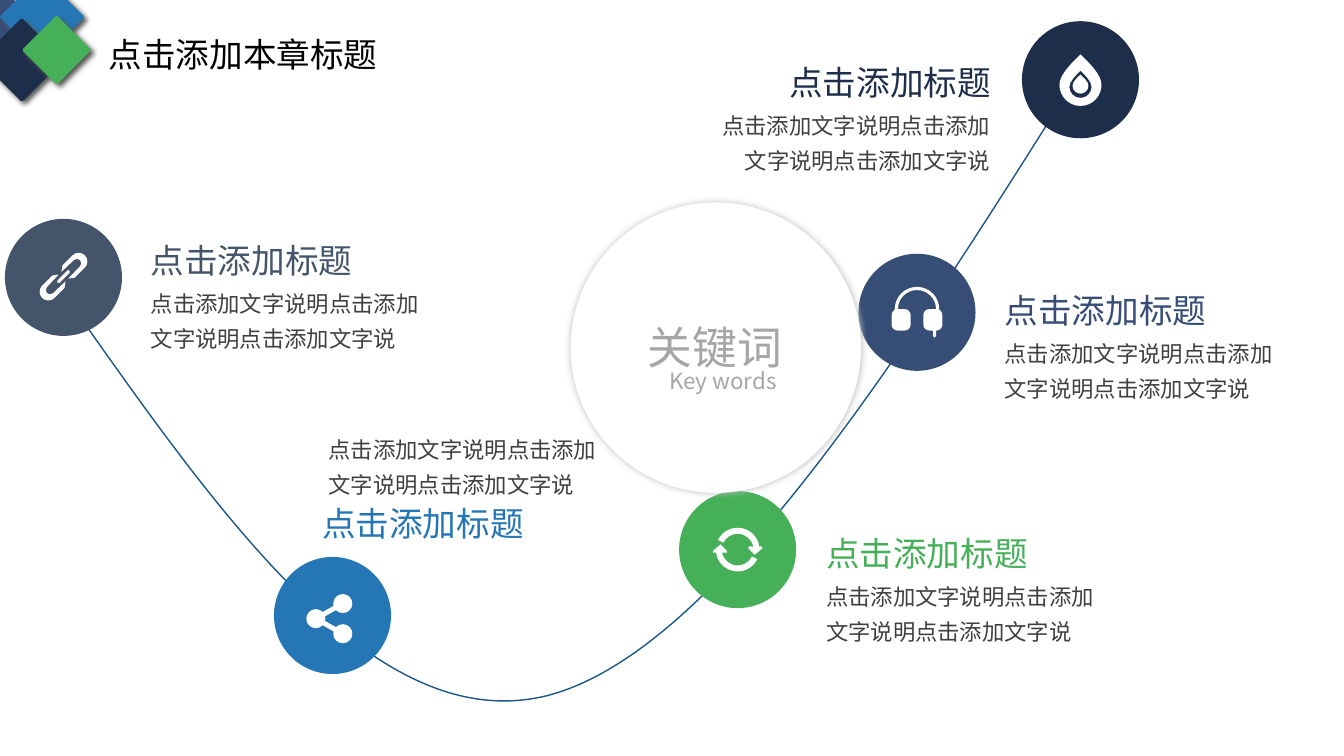
from math import cos, radians, sin, tan

from lxml.etree import Element, SubElement
from pptx import Presentation
from pptx.dml.color import RGBColor
from pptx.enum.shapes import MSO_SHAPE as Preset
from pptx.enum.text import PP_ALIGN as Align
from pptx.oxml.ns import qn
from pptx.util import Cm, Pt

FONT = "Noto Sans CJK SC"
NAVY = RGBColor(0x1D, 0x2E, 0x4B)
INDIGO = RGBColor(0x36, 0x4D, 0x76)
BLUE = RGBColor(0x24, 0x76, 0xB5)
GREEN = RGBColor(0x45, 0xB0, 0x58)
SLATE = RGBColor(0x44, 0x54, 0x6A)
CURVE_BLUE = RGBColor(0x1B, 0x57, 0x86)
WHITE = RGBColor(0xFF, 0xFF, 0xFF)
BLACK = RGBColor(0, 0, 0)
BODY_GRAY = RGBColor(0x40, 0x40, 0x40)
HUB_GRAY = RGBColor(0xA6, 0xA6, 0xA6)
HUB_SHADOW = RGBColor(0xBF, 0xBF, 0xBF)
DIAMOND_SHADOW = RGBColor(0x59, 0x59, 0x59)

NODE_SIZE = 2.95
NODE_TITLE = "点击添加标题"
NODE_BODY = "点击添加文字说明点击添加文字说明点击添加文字说"


def corners(*points):
    return [(point,) for point in points]


def arc(x, y, radius, start, end):
    low, high = sorted((start, end))
    stops = [low] + [a for a in range(-360, 721, 90) if low < a < high] + [high]
    if start > end:
        stops.reverse()

    def point(angle, pull=0):
        a = radians(angle)
        return (x + radius * (cos(a) - pull * sin(a)), y + radius * (sin(a) + pull * cos(a)))

    steps = [(point(start),)]
    for a, b in zip(stops, stops[1:]):
        pull = 4 / 3 * tan(radians(b - a) / 4)
        steps.append((point(a, pull), point(b, -pull), point(b)))
    return steps


def transform(contour, change):
    return [tuple(change(*point) for point in step) for step in contour]


def half_turn(contour):
    return transform(contour, lambda x, y: (-x, -y))


def share_icon():
    return [arc(0.26, -0.3, 0.24, 166, 496) + arc(-0.42, 0.08, 0.24, -14, 14)
            + arc(0.26, 0.46, 0.24, 224, 554) + arc(-0.42, 0.08, 0.24, 44, 316)]


def link_icon():
    loop = (corners((0.05, -0.12), (0.18, -0.22)) + arc(0.54, 0, 0.22, -90, 90)
            + corners((0.18, 0.22), (0.05, 0.12)) + arc(0.48, 0, 0.11, 90, -90))
    bar = arc(0.18, 0, 0.04, -90, 90) + arc(-0.18, 0, 0.04, 90, 270)
    tilt = cos(radians(45))
    return [transform(contour, lambda u, v: ((u + v) * tilt, (v - u) * tilt - 0.02))
            for contour in (bar, loop, half_turn(loop))]


def sync_icon():
    arrow = (arc(0, 0, 0.55, 206, 352)
             + corners((0.61, -0.08), (0.62, -0.03), (0.43, 0.13), (0.27, -0.03), (0.28, -0.08))
             + arc(0, 0, 0.4, 349, 206))
    return [arrow, half_turn(arrow)]


def headphones_icon():
    return [arc(0, -0.08, 0.56, 180, 360)
            + arc(0.49, 0.07, 0.15, -60, 0) + arc(0.49, 0.31, 0.15, 0, 90)
            + corners((0.48, 0.46)) + arc(0.44, 0.6, 0.04, 0, 180) + corners((0.4, 0.46))
            + arc(0.31, 0.31, 0.15, 90, 180) + arc(0.31, 0.07, 0.15, 180, 270)
            + arc(0, -0.08, 0.48, 360, 180)
            + arc(-0.31, 0.07, 0.15, 270, 360) + arc(-0.31, 0.31, 0.15, 0, 90)
            + arc(-0.49, 0.31, 0.15, 90, 180) + arc(-0.49, 0.07, 0.15, 180, 240)]


def drop_icon():
    def drop(tip, y, radius):
        bend, shoulder = 0.4 * radius, y - 0.5 * radius
        right = ((bend, tip + bend), (radius, shoulder), (radius, y))
        left = ((-radius, shoulder), (-bend, tip + bend), (0, tip))
        return corners((0, tip)) + [right] + arc(0, y, radius, 0, 180)[1:] + [left]
    return [drop(-0.64, 0.13, 0.53), drop(-0.23, 0.18, 0.28), drop(-0.13, 0.15, 0.2)]


def bend_steps(shape, steps):
    tags = (qn("a:moveTo"), qn("a:lnTo"))
    drawn = [e for e in shape._element.spPr.iter(*tags)]
    for element, step in zip(drawn, steps):
        if len(step) == 3:
            curve = Element(qn("a:cubicBezTo"))
            for x, y in step:
                SubElement(curve, qn("a:pt"), x=str(x - shape.left), y=str(y - shape.top))
            element.getparent().replace(element, curve)


def add_outline(shapes, contours, x=0, y=0, closed=True):
    placed = [transform(contour, lambda px, py: (Cm(x + px), Cm(y + py)))
              for contour in contours]
    builder = shapes.build_freeform(*placed[0][0][-1], scale=1.0)
    for contour in placed:
        anchors = [step[-1] for step in contour]
        if contour is not placed[0]:
            builder.move_to(*anchors[0])
        builder.add_line_segments(anchors[1:], close=closed)
    shape = builder.convert_to_shape()
    bend_steps(shape, [step for contour in placed for step in contour])
    shape.shadow.inherit = False
    return shape


def paint(shape, color):
    shape.shadow.inherit = False
    shape.fill.solid()
    shape.fill.fore_color.rgb = color
    shape.line.fill.background()


def add_preset(shapes, preset, left, top, size, color):
    shape = shapes.add_shape(preset, Cm(left), Cm(top), Cm(size), Cm(size))
    paint(shape, color)
    return shape


def add_shadow(shape, color, blur, distance=0, angle=0):
    effects = shape._element.spPr.find(qn("a:effectLst"))
    shadow = SubElement(effects, qn("a:outerShdw"), blurRad=str(Pt(blur)),
                        dist=str(Pt(distance)), dir=str(angle * 60000),
                        algn="ctr", rotWithShape="0")
    SubElement(shadow, qn("a:srgbClr"), val=str(color))


def add_text(shapes, text, left, top, width, height, size, color,
             align=Align.LEFT, spacing=None):
    box = shapes.add_textbox(Cm(left), Cm(top), Cm(width), Cm(height))
    box.text_frame.word_wrap = True
    box.text_frame.text = text
    paragraph = box.text_frame.paragraphs[0]
    paragraph.alignment = align
    paragraph.line_spacing = spacing
    font = paragraph.runs[0].font
    font.size = Pt(size)
    font.color.rgb = color
    font.name = FONT
    SubElement(font._element, qn("a:ea"), typeface=FONT)


def add_curve(slide):
    steps = corners((1.85, 7.75)) + [((5.66, 13.16), (9.5, 18.59), (13.79, 17.53)),
                                     ((18.06, 16.43), (22.81, 8.84), (27.56, 1.27))]
    curve = add_outline(slide.shapes, [steps], closed=False)
    curve.fill.background()
    curve.line.color.rgb = CURVE_BLUE
    curve.line.width = Pt(1)


def add_header(slide):
    shapes = slide.shapes.add_group_shape().shapes
    for left, top, size, color in ((-0.58, 0, 1.32, INDIGO), (0.3, -0.33, 1.52, BLUE),
                                   (-0.2, 0.76, 1.5, NAVY), (0.81, 0.64, 1.24, GREEN)):
        diamond = add_preset(shapes, Preset.ROUNDED_RECTANGLE, left, top, size, color)
        diamond.adjustments[0] = 0.04
        diamond.rotation = 315
        add_shadow(diamond, DIAMOND_SHADOW, 4, 3, 45)
    add_text(shapes, "点击添加本章标题", 2.49, 0.74, 7.34, 1.3, 24, BLACK)


def add_node(slide, center, color, icon, title_at, body_at, align=Align.LEFT):
    x, y = center
    shapes = slide.shapes.add_group_shape().shapes
    add_preset(shapes, Preset.OVAL, x - NODE_SIZE / 2, y - NODE_SIZE / 2, NODE_SIZE, color)
    paint(add_outline(shapes, icon, x, y), WHITE)
    add_text(slide.shapes, NODE_TITLE, *title_at, 6, 1.3, 24, color, align)
    add_text(slide.shapes, NODE_BODY, *body_at, 7.72, 2.03, 16, BODY_GRAY, align, 1.3)


def add_hub(slide):
    shapes = slide.shapes.add_group_shape().shapes
    hub = add_preset(shapes, Preset.OVAL, 14.38, 5.1, 7.32, WHITE)
    add_shadow(hub, HUB_SHADOW, 5)
    add_text(shapes, "关键词", 15.88, 7.94, 4.29, 1.63, 32, HUB_GRAY, Align.CENTER)
    add_text(shapes, "Key words", 15.72, 9.13, 5, 0.94, 16, HUB_GRAY, Align.CENTER)


def main():
    presentation = Presentation()
    presentation.slide_width = Cm(33.87)
    presentation.slide_height = Cm(19.05)
    slide = presentation.slides.add_slide(presentation.slide_layouts[6])
    add_curve(slide)
    add_header(slide)
    add_node(slide, (8.38, 15.51), BLUE, share_icon(), (7.87, 12.55), (8.03, 10.67))
    add_node(slide, (1.6, 6.99), SLATE, link_icon(), (3.55, 5.92), (3.55, 6.98))
    add_node(slide, (18.59, 13.85), GREEN, sync_icon(), (20.57, 13.31), (20.57, 14.37))
    add_node(slide, (23.11, 7.87), INDIGO, headphones_icon(), (25.07, 7.18), (25.07, 8.25))
    add_node(slide, (27.23, 2.01), NAVY, drop_icon(), (19.22, 1.44), (17.49, 2.51), Align.RIGHT)
    add_hub(slide)
    presentation.save("out.pptx")


if __name__ == "__main__":
    main()
